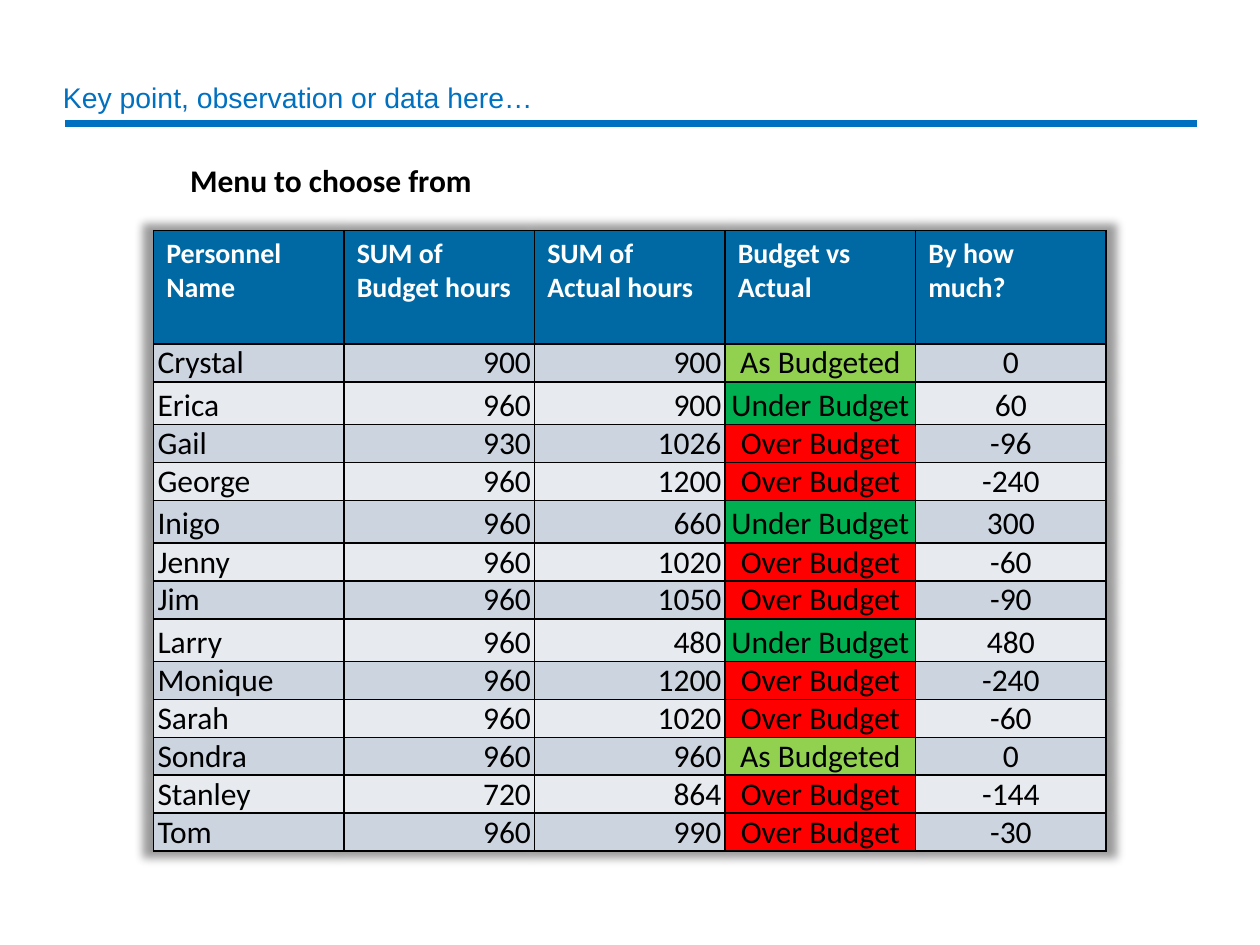
from lxml import etree
from pptx import Presentation
from pptx.dml.color import RGBColor
from pptx.enum.shapes import MSO_CONNECTOR
from pptx.enum.text import MSO_ANCHOR, PP_ALIGN
from pptx.oxml import parse_xml
from pptx.oxml.ns import nsdecls, qn
from pptx.util import Inches, Pt

LEFT, CENTER, RIGHT = PP_ALIGN.LEFT, PP_ALIGN.CENTER, PP_ALIGN.RIGHT
TOP, MIDDLE, BOTTOM = MSO_ANCHOR.TOP, MSO_ANCHOR.MIDDLE, MSO_ANCHOR.BOTTOM

BLUE = RGBColor(0x00, 0x70, 0xC0)
HEADER_BLUE = RGBColor(0x00, 0x69, 0xA3)
BLACK = RGBColor(0x00, 0x00, 0x00)
WHITE = RGBColor(0xFF, 0xFF, 0xFF)
BANDS = (RGBColor(0xCC, 0xD4, 0xE0), RGBColor(0xE7, 0xEB, 0xF0))
STATUS_COLORS = {
    "As Budgeted": RGBColor(0x92, 0xD0, 0x50),
    "Under Budget": RGBColor(0x00, 0xB0, 0x50),
    "Over Budget": RGBColor(0xFF, 0x00, 0x00),
}

# Content
TITLE = "Key point, observation or data here…"
HEADING = "Menu to choose from"
HEADERS = ("Personnel Name", "SUM of Budget hours", "SUM of Actual hours",
           "Budget vs Actual", "By how much?")
HOURS = [  # name, budget, actual
    ("Crystal", 900, 900), ("Erica", 960, 900), ("Gail", 930, 1026),
    ("George", 960, 1200), ("Inigo", 960, 660), ("Jenny", 960, 1020),
    ("Jim", 960, 1050), ("Larry", 960, 480), ("Monique", 960, 1200),
    ("Sarah", 960, 1020), ("Sondra", 960, 960), ("Stanley", 720, 864),
    ("Tom", 960, 990),
]
ALIGNMENTS = (LEFT, RIGHT, RIGHT, CENTER, CENTER)
STATUS_COLUMN = HEADERS.index("Budget vs Actual")

# Formats
TITLE_FONT = {"name": "Arial", "size": Pt(16.2), "bold": False}
HEADING_FONT = {"name": "Calibri", "size": Pt(18), "bold": True}
HEADER_FONT = {"name": "Calibri", "size": Pt(16), "bold": True}
BODY_FONT = {"name": "Calibri", "size": Pt(18), "bold": False}
HEADER_CELL = {"vertical_anchor": TOP,
               "margin_left": Inches(0.1), "margin_right": Inches(0.1),
               "margin_top": Inches(0.05), "margin_bottom": Inches(0.05)}
BODY_CELL = {"vertical_anchor": BOTTOM,
             "margin_left": Inches(0.03), "margin_right": Inches(0.03),
             "margin_top": 0, "margin_bottom": 0}
TITLE_FRAME = {"word_wrap": True, "vertical_anchor": MIDDLE,
               "margin_left": 0, "margin_right": 0}
HEADING_FRAME = {"word_wrap": True}


def apply(target, values):
    for attribute, value in values.items():
        setattr(target, attribute, value)


def write(frame, text, font, color, alignment=LEFT):
    paragraph = frame.paragraphs[0]
    paragraph.alignment = alignment
    run = paragraph.add_run()
    run.text = text
    apply(run.font, font)
    run.font.color.rgb = color
    return paragraph


def add_text(box, text, frame_format, font, color):
    frame = slide.shapes.add_textbox(*map(Inches, box)).text_frame
    apply(frame, frame_format)
    return write(frame, text, font, color)


def add_borders(cell):
    properties = cell._tc.get_or_add_tcPr()
    for position, side in enumerate(("lnL", "lnR", "lnT", "lnB")):
        properties.insert(position, parse_xml(
            f'<a:{side} {nsdecls("a")} w="{Pt(1)}"><a:solidFill>'
            f'<a:srgbClr val="{BLACK}"/></a:solidFill></a:{side}>'))


def fill_cell(cell, text, cell_format, font, color, fill, alignment):
    apply(cell, cell_format)
    write(cell.text_frame, text, font, color, alignment)
    cell.fill.solid()
    cell.fill.fore_color.rgb = fill
    add_borders(cell)


def status_of(difference):
    if difference == 0:
        return "As Budgeted"
    return "Under Budget" if difference > 0 else "Over Budget"


presentation = Presentation()
presentation.slide_width, presentation.slide_height = Inches(10), Inches(7.5)
slide = presentation.slides.add_slide(presentation.slide_layouts[6])

# Title and its rule
rule = slide.shapes.add_connector(MSO_CONNECTOR.STRAIGHT, Inches(0.52),
                                  Inches(0.98), Inches(9.5), Inches(0.98))
rule.line.color.rgb = BLUE
rule.line.width = Pt(4.5)
etree.SubElement(rule._element.spPr, qn("a:effectLst"))
title = add_text((0.5, 0.64, 9, 0.3), TITLE, TITLE_FRAME, TITLE_FONT, BLUE)
title.line_spacing = 0.9

# Table heading
add_text((1.41, 1.23, 7.18, 0.4), HEADING, HEADING_FRAME, HEADING_FONT, BLACK)

# Hours table
table = slide.shapes.add_table(len(HOURS) + 1, len(HEADERS), Inches(1.22),
                               Inches(1.83), Inches(7.56), Inches(4.9)).table
table._tbl.tblPr.insert(0, parse_xml(
    f'<a:effectLst {nsdecls("a")}><a:outerShdw blurRad="{Pt(5)}" sx="102000" '
    'sy="102000" algn="ctr" rotWithShape="0"><a:srgbClr val="000000">'
    '<a:alpha val="40000"/></a:srgbClr></a:outerShdw></a:effectLst>'))

table.rows[0].height = Inches(0.9)
for column, header in enumerate(HEADERS):
    fill_cell(table.cell(0, column), header, HEADER_CELL, HEADER_FONT,
              WHITE, HEADER_BLUE, LEFT)

for index, (name, budget, actual) in enumerate(HOURS):
    status = status_of(budget - actual)
    row = index + 1
    table.rows[row].height = Inches(0.34 if status == "Under Budget" else 0.3)
    values = (name, budget, actual, status, budget - actual)
    for column, (value, alignment) in enumerate(zip(values, ALIGNMENTS)):
        fill = STATUS_COLORS[status] if column == STATUS_COLUMN else BANDS[index % 2]
        fill_cell(table.cell(row, column), str(value), BODY_CELL, BODY_FONT,
                  BLACK, fill, alignment)

presentation.save("out.pptx")
